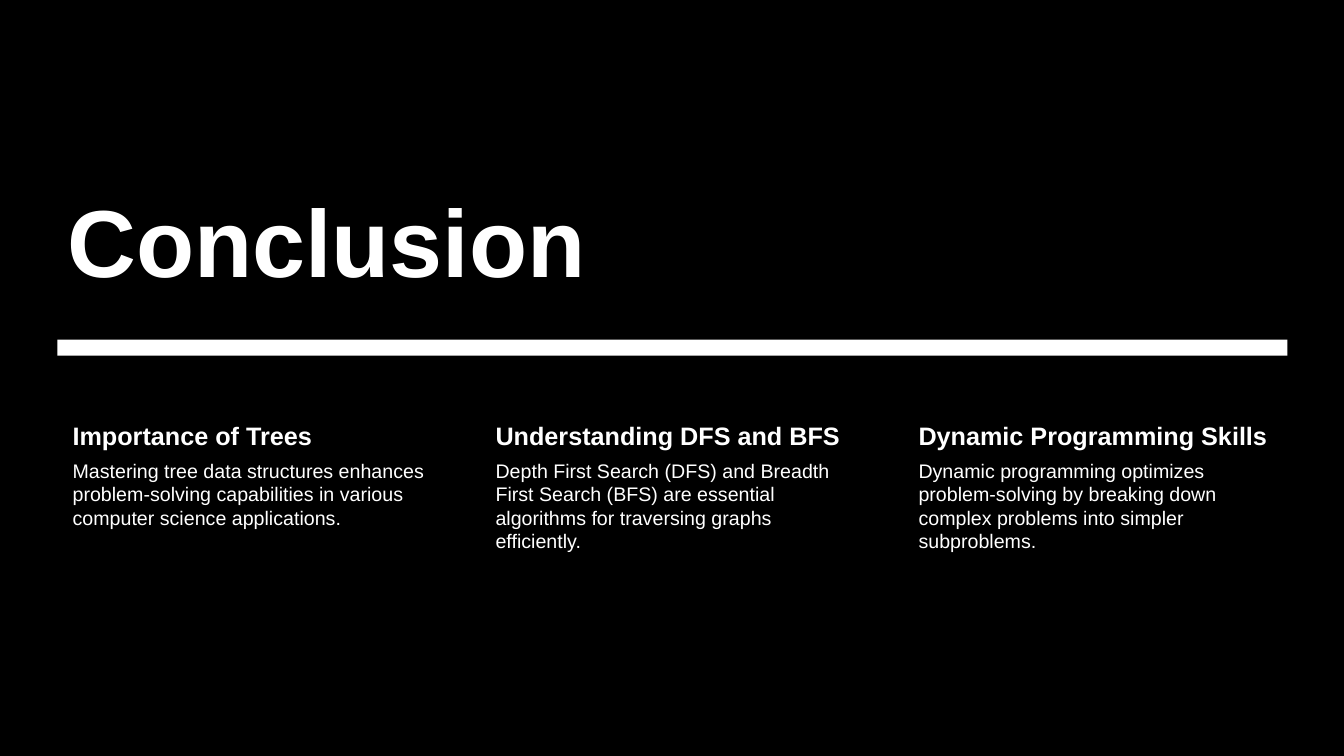
from dataclasses import dataclass

from pptx import Presentation
from pptx.dml.color import RGBColor
from pptx.enum import shapes, text
from pptx.util import Inches, Pt


@dataclass(frozen=True)
class Theme:
    """Colours, font and type sizes of the slide."""
    ground: RGBColor = RGBColor(0, 0, 0)
    ink: RGBColor = RGBColor(255, 255, 255)
    font: str = "Arial"
    title: int = 68
    heading: int = 18
    body: int = 14


THEME = Theme()
SLIDE_WIDTH, SLIDE_HEIGHT = 13.33, 7.5
LEFT, WIDTH = 0.57, 12.2
COLUMN_WIDTH, HEADING_HEIGHT = 3.81, 0.39

TAKEAWAYS = [
    ("Importance of Trees",
     "Mastering tree data structures enhances problem-solving capabilities "
     "in various computer science applications."),
    ("Understanding DFS and BFS",
     "Depth First Search (DFS) and Breadth First Search (BFS) are essential "
     "algorithms for traversing graphs efficiently."),
    ("Dynamic Programming Skills",
     "Dynamic programming optimizes problem-solving by breaking down "
     "complex problems into simpler subproblems."),
]


def write(frame, words, size, bold, anchor):
    """Fill a text frame with one left-aligned paragraph."""
    frame.text = words
    frame.word_wrap = True
    frame.auto_size = text.MSO_AUTO_SIZE.NONE
    frame.vertical_anchor = anchor
    paragraph = frame.paragraphs[0]
    paragraph.alignment = text.PP_ALIGN.LEFT
    font = paragraph.font
    font.name, font.size, font.bold = THEME.font, Pt(size), bold
    font.color.rgb = THEME.ink


def add_block(slide, color, left, top, width, height):
    """Draw a plain filled rectangle and return it."""
    block = slide.shapes.add_shape(
        shapes.MSO_SHAPE.RECTANGLE,
        Inches(left), Inches(top), Inches(width), Inches(height))
    block.shadow.inherit = False
    block.fill.solid()
    block.fill.fore_color.rgb = color
    block.line.fill.background()
    return block


def add_backdrop(slide, left, top, width, height):
    """Cover the box with the ground colour, behind the title."""
    slide.background.fill.solid()
    slide.background.fill.fore_color.rgb = THEME.ground
    backdrop = add_block(slide, THEME.ground, left, top, width, height)
    slide.shapes.title.element.addprevious(backdrop.element)


def add_title(slide, left, top, width, height):
    """Place the slide title in its box."""
    title = slide.shapes.title
    title.left, title.top = Inches(left), Inches(top)
    title.width, title.height = Inches(width), Inches(height)
    write(title.text_frame, "Conclusion", THEME.title, True, text.MSO_ANCHOR.BOTTOM)


def add_takeaway(group, heading, body, left, top, width, height):
    """Stack a heading and its explanation in one column."""
    parts = [
        (heading, THEME.heading, True, top, HEADING_HEIGHT, 0.03),
        (body, THEME.body, False, top + HEADING_HEIGHT, height - HEADING_HEIGHT, 0.02),
    ]
    for words, size, bold, part_top, part_height, inset in parts:
        frame = group.shapes.add_textbox(
            Inches(left), Inches(part_top), Inches(width), Inches(part_height)).text_frame
        frame.margin_left = Inches(0.15)
        frame.margin_top = frame.margin_right = frame.margin_bottom = Inches(inset)
        write(frame, words, size, bold, text.MSO_ANCHOR.TOP)


def add_takeaways(slide, left, top, width, height):
    """Spread the takeaway columns evenly over the box."""
    group = slide.shapes.add_group_shape()
    step = (width - COLUMN_WIDTH) / (len(TAKEAWAYS) - 1)
    for index, (heading, body) in enumerate(TAKEAWAYS):
        add_takeaway(group, heading, body, left + index * step, top, COLUMN_WIDTH, height)


def main():
    """Build and save the conclusion slide."""
    deck = Presentation()
    deck.slide_width, deck.slide_height = Inches(SLIDE_WIDTH), Inches(SLIDE_HEIGHT)
    slide = deck.slides.add_slide(deck.slide_layouts[5])
    add_backdrop(slide, 0, 0, SLIDE_WIDTH, SLIDE_HEIGHT)
    add_title(slide, LEFT, 1.45, WIDTH, 1.54)
    add_block(slide, THEME.ink, LEFT, 3.37, WIDTH, 0.16)
    add_takeaways(slide, LEFT, 4.14, WIDTH, 2.68)
    deck.save("out.pptx")


if __name__ == "__main__":
    main()
